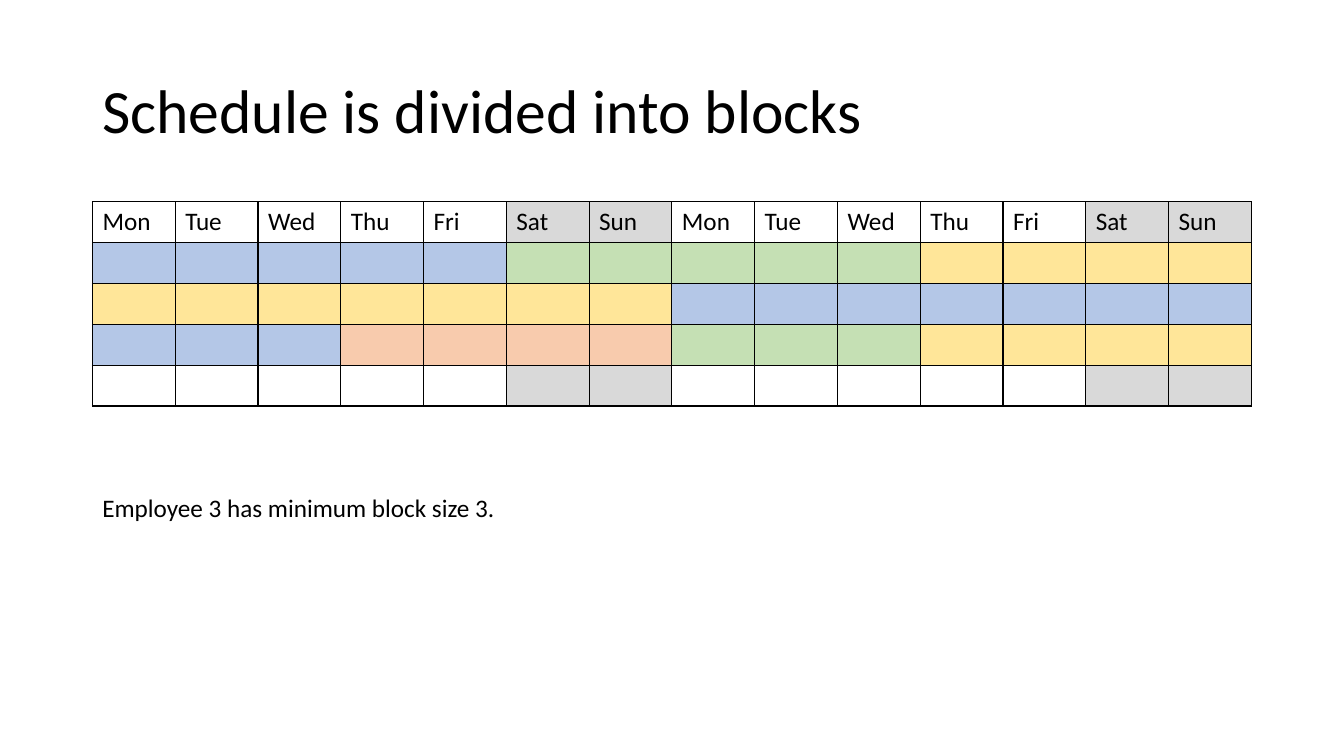
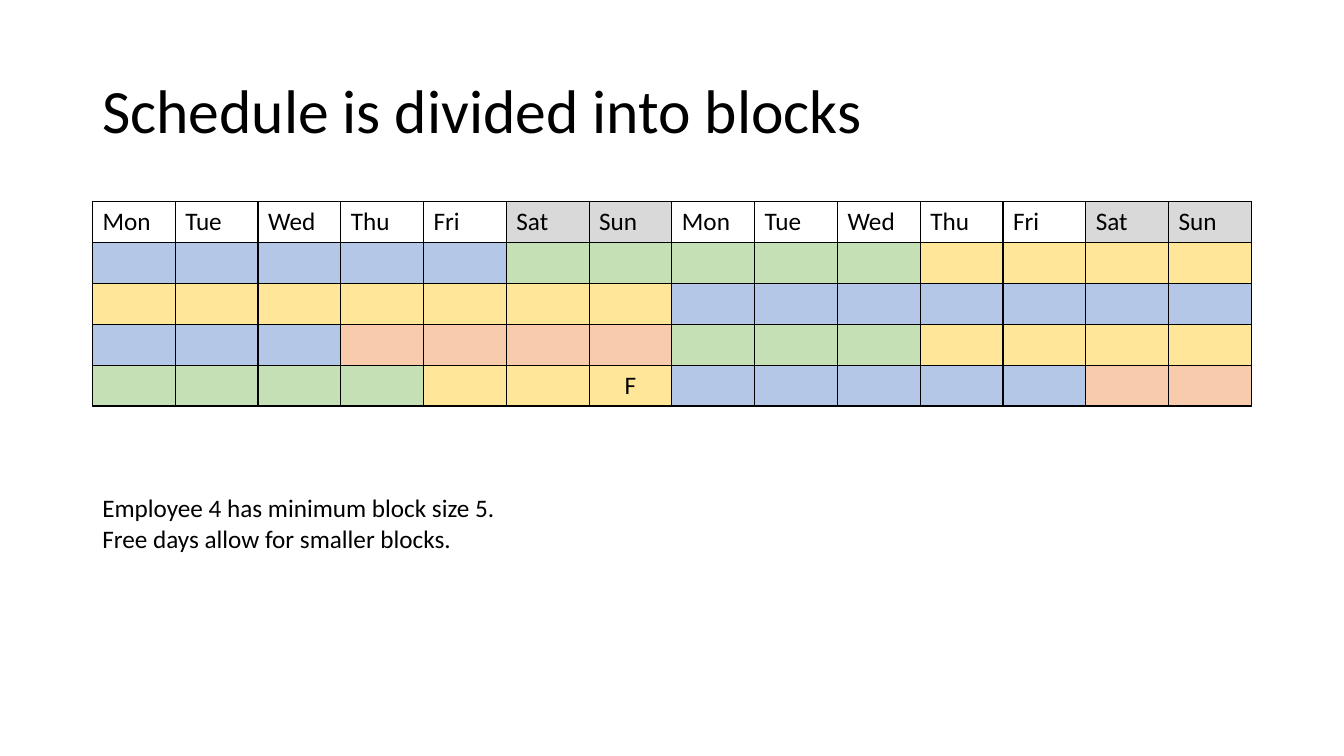
from lxml.etree import SubElement
from pptx import Presentation
from pptx.dml.color import RGBColor
from pptx.enum.text import MSO_ANCHOR, PP_ALIGN
from pptx.oxml.ns import qn
from pptx.util import Cm, Pt

FONT = "Calibri"
COLORS = {
    "text": "000000",
    "border": "000000",
    "weekend": "D9D9D9",
    "blue": "B4C7E7",
    "green": "C5E0B4",
    "yellow": "FFE699",
    "orange": "F8CBAD",
}
LEFT, WIDTH = Cm(2.33), Cm(29.21)
ROW_HEIGHT = Cm(1.03)
TITLE = "Schedule is divided into blocks"
DAYS = ["Mon", "Tue", "Wed", "Thu", "Fri", "Sat", "Sun"] * 2
CALENDAR = [(None, 5), ("weekend", 2)] * 2
SHARED_ROWS = [
    CALENDAR,
    [("blue", 5), ("green", 5), ("yellow", 4)],
    [("yellow", 7), ("blue", 7)],
    [("blue", 3), ("orange", 4), ("green", 3), ("yellow", 4)],
]
EMPLOYEE_4 = [("green", 4), ("yellow", 3), ("blue", 5), ("orange", 2)]
FREE_DAY = (4, 6)


def style_text(p, size):
    p.font.name = FONT
    p.font.size = Pt(size)
    p.font.color.rgb = RGBColor.from_string(COLORS["text"])


def add_text(slide, text, top, height, size, anchor=MSO_ANCHOR.TOP, spacing=None):
    tf = slide.shapes.add_textbox(LEFT, top, WIDTH, height).text_frame
    tf.word_wrap = True
    tf.vertical_anchor = anchor
    p = tf.paragraphs[0]
    p.text = text
    p.line_spacing = spacing
    style_text(p, size)


def add_borders(cell):
    tc_pr = cell._tc.get_or_add_tcPr()
    for side in ("a:lnL", "a:lnR", "a:lnT", "a:lnB"):
        ln = SubElement(tc_pr, qn(side), w=str(Pt(1)))
        fill = SubElement(ln, qn("a:solidFill"))
        SubElement(fill, qn("a:srgbClr"), val=COLORS["border"])


def fill_cell(cell, color):
    add_borders(cell)
    if color:
        cell.fill.solid()
        cell.fill.fore_color.rgb = RGBColor.from_string(COLORS[color])
    else:
        cell.fill.background()
    style_text(cell.text_frame.paragraphs[0], 18)


def add_schedule(slide, rows):
    table = slide.shapes.add_table(
        len(rows), len(DAYS), LEFT, Cm(5.08), WIDTH, ROW_HEIGHT * len(rows)
    ).table
    table.first_row = False
    table.horz_banding = False
    for i, blocks in enumerate(rows):
        colors = [color for color, days in blocks for _ in range(days)]
        for j, color in enumerate(colors):
            fill_cell(table.cell(i, j), color)
    for j, day in enumerate(DAYS):
        table.cell(0, j).text_frame.paragraphs[0].text = day
    return table


def add_schedule_slide(prs, last_row, note, note_height):
    slide = prs.slides.add_slide(prs.slide_layouts[6])
    add_text(slide, TITLE, Cm(1.01), Cm(3.68), 44, MSO_ANCHOR.MIDDLE, 0.9)
    table = add_schedule(slide, SHARED_ROWS + [last_row])
    add_text(slide, note, Cm(12.29), note_height, 18)
    return table


def main():
    prs = Presentation()
    prs.slide_width, prs.slide_height = Cm(33.87), Cm(19.05)
    add_schedule_slide(
        prs, CALENDAR, "Employee 3 has minimum block size 3.", Cm(1.03)
    )
    table = add_schedule_slide(
        prs,
        EMPLOYEE_4,
        "Employee 4 has minimum block size 5.\nFree days allow for smaller blocks.",
        Cm(1.8),
    )
    p = table.cell(*FREE_DAY).text_frame.paragraphs[0]
    p.text = "F"
    p.alignment = PP_ALIGN.CENTER
    prs.save("out.pptx")


if __name__ == "__main__":
    main()
